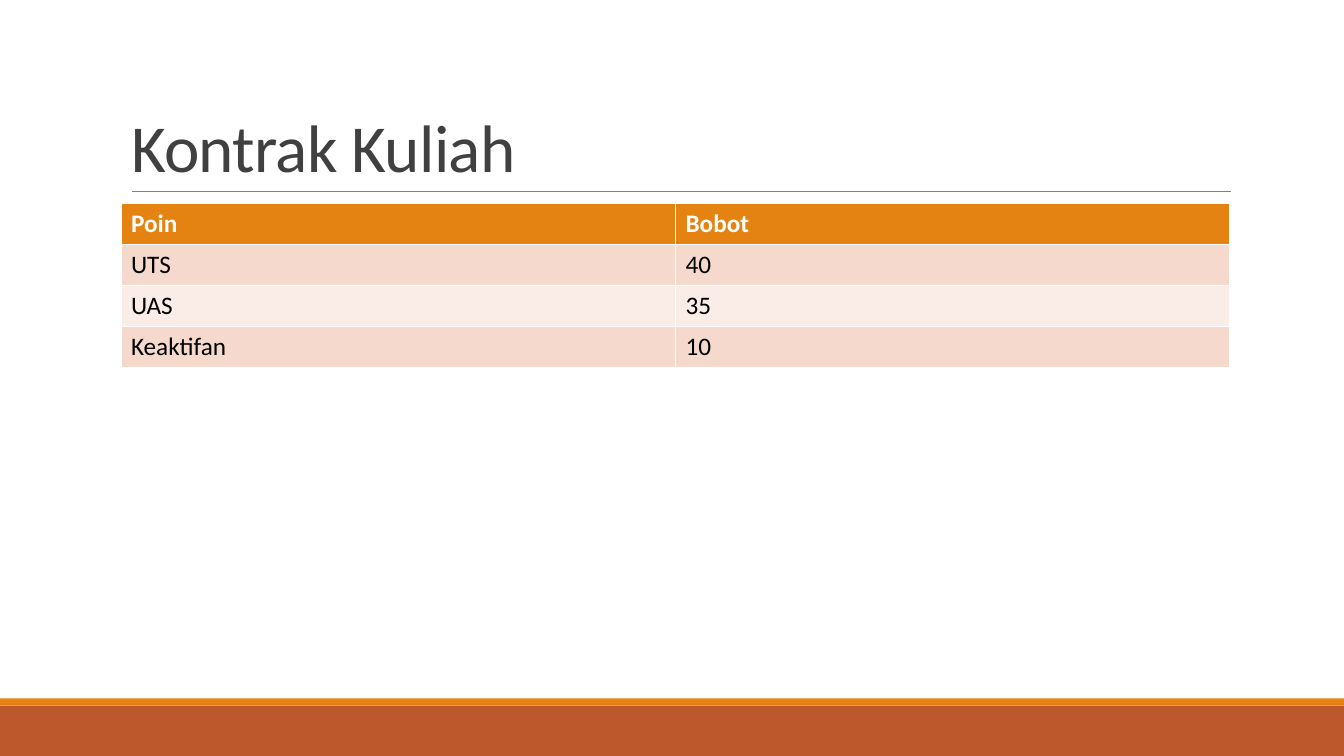
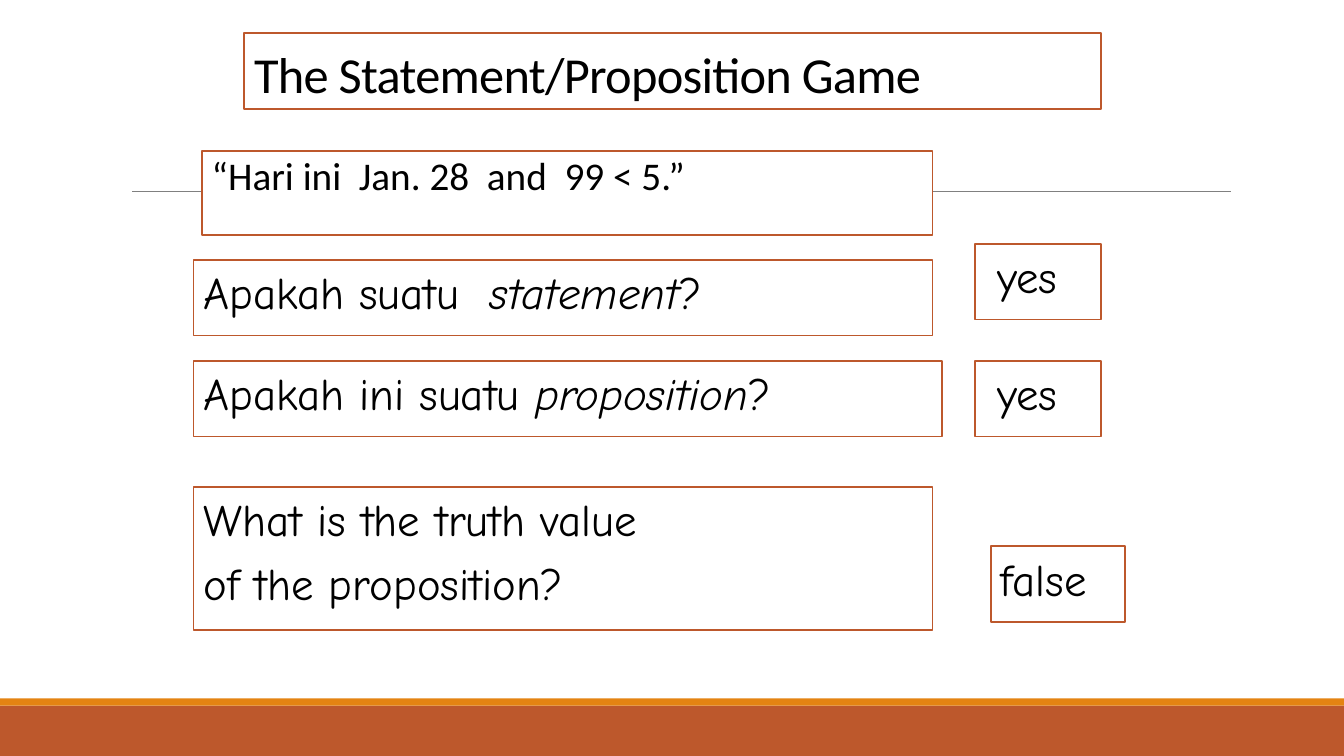
from dataclasses import dataclass

from lxml import etree
from pptx import Presentation
from pptx.dml.color import RGBColor
from pptx.enum.shapes import MSO_CONNECTOR, MSO_SHAPE
from pptx.enum.text import MSO_ANCHOR, MSO_AUTO_SIZE, PP_ALIGN
from pptx.oxml.ns import qn
from pptx.presentation import Presentation as Deck
from pptx.shapes.autoshape import Shape
from pptx.slide import Slide
from pptx.util import Inches, Pt

RECTANGLE = MSO_SHAPE.RECTANGLE
STRAIGHT = MSO_CONNECTOR.STRAIGHT
BOTTOM = MSO_ANCHOR.BOTTOM
TOP = MSO_ANCHOR.TOP
NO_AUTOFIT = MSO_AUTO_SIZE.NONE
LEFT = PP_ALIGN.LEFT

WHITE = RGBColor(0xFF, 0xFF, 0xFF)
BLACK = RGBColor(0x00, 0x00, 0x00)
CHARCOAL = RGBColor(0x40, 0x40, 0x40)
GRAY = RGBColor(0x80, 0x80, 0x80)
RUST = RGBColor(0xBD, 0x58, 0x2C)
ORANGE = RGBColor(0xE4, 0x83, 0x12)
ROW_DARK = RGBColor(0xF5, 0xD9, 0xCC)
ROW_LIGHT = RGBColor(0xFA, 0xED, 0xE7)

SANS = "Calibri"
COMIC = "Comic Neue"
WIDTH = 13.33
HEIGHT = 7.5
TITLE_ONLY = 5
TITLE_AND_CONTENT = 1
FIRST_MASTER_ID = 100


@dataclass(frozen=True)
class Area:
    left: float
    top: float
    width: float
    height: float


@dataclass(frozen=True)
class Words:
    text: str
    italic: bool = False


@dataclass(frozen=True)
class GameBox:
    area: Area
    lines: tuple[tuple[Words, ...], ...]
    indent: float = 0


BANDS = (
    (Area(0, 7, WIDTH, 0.5), RUST),
    (Area(0, 6.93, WIDTH, 0.07), ORANGE),
)

GRADING = (
    ("Poin", "Bobot"),
    ("UTS", "40"),
    ("UAS", "35"),
    ("Keaktifan", "10"),
)

YES = ((Words("yes"),),)
GAME_BOXES = (
    GameBox(
        Area(1.92, 2.58, 7.33, 0.75),
        ((Words("Apakah suatu  "), Words("statement", True), Words("?")),),
    ),
    GameBox(Area(9.67, 2.42, 1.25, 0.75), YES, 0.12),
    GameBox(
        Area(1.92, 3.58, 7.42, 0.75),
        ((Words("Apakah ini suatu "), Words("proposition", True), Words("?")),),
    ),
    GameBox(Area(9.67, 3.58, 1.25, 0.75), YES, 0.12),
    GameBox(
        Area(1.92, 4.83, 7.33, 1.42),
        ((Words("What is the truth value"),), (Words("of the proposition?"),)),
    ),
    GameBox(Area(9.83, 5.42, 1.33, 0.75), ((Words("false"),),)),
)


def place(shape: Shape, area: Area) -> None:
    shape.left, shape.top = Inches(area.left), Inches(area.top)
    shape.width, shape.height = Inches(area.width), Inches(area.height)


def frame(shape: Shape) -> None:
    shape.fill.solid()
    shape.fill.fore_color.rgb = WHITE
    shape.line.color.rgb = RUST
    shape.line.width = Pt(1.25)


def furnish_master(deck: Deck, slide: Slide) -> None:
    parts = []
    for area, color in BANDS:
        band = slide.shapes.add_shape(
            RECTANGLE, Inches(area.left), Inches(area.top),
            Inches(area.width), Inches(area.height),
        )
        band.shadow.inherit = False
        band.fill.solid()
        band.fill.fore_color.rgb = color
        band.line.fill.background()
        parts.append(band)

    rule = slide.shapes.add_connector(
        STRAIGHT, Inches(1.31), Inches(1.9), Inches(12.21), Inches(1.9)
    )
    rule.line.color.rgb = GRAY
    rule.line.width = Pt(0.5)
    etree.SubElement(rule.element.spPr, qn("a:effectLst"))
    parts.append(rule)

    for shape_id, part in enumerate(parts, FIRST_MASTER_ID):
        part.element.xpath("./*/p:cNvPr")[0].set("id", str(shape_id))
        deck.slide_master.shapes.element.append(part.element)


def set_title(slide: Slide, text: str, area: Area, size: int, color: RGBColor) -> None:
    title = slide.shapes.title
    place(title, area)
    title.text_frame.text = text
    title.text_frame.auto_size = NO_AUTOFIT
    title.text_frame.vertical_anchor = BOTTOM
    paragraph = title.text_frame.paragraphs[0]
    paragraph.alignment = LEFT
    paragraph.line_spacing = 0.85
    paragraph.font.name = SANS
    paragraph.font.size = Pt(size)
    paragraph.font.color.rgb = color
    paragraph.runs[0].font._element.set("spc", "-50")


def add_grading_table(slide: Slide) -> None:
    table = slide.shapes.add_table(
        len(GRADING), len(GRADING[0]),
        Inches(1.2), Inches(2.02), Inches(11), Inches(1.62),
    ).table
    for row, values in enumerate(GRADING):
        header = row == 0
        fill = ORANGE if header else ROW_DARK if row % 2 else ROW_LIGHT
        for column, value in enumerate(values):
            cell = table.cell(row, column)
            cell.text = value
            cell.fill.solid()
            cell.fill.fore_color.rgb = fill
            font = cell.text_frame.paragraphs[0].font
            font.name = SANS
            font.size = Pt(18)
            font.bold = header
            font.color.rgb = WHITE if header else BLACK


def set_statement(slide: Slide) -> None:
    statement = slide.placeholders[1]
    place(statement, Area(2, 1.5, 7.25, 0.83))
    frame(statement)
    text = statement.text_frame
    text.text = "“Hari ini  Jan. 28  and  99 < 5.”"
    text.auto_size = NO_AUTOFIT
    text.vertical_anchor = TOP
    text.margin_left = text.margin_right = 0
    paragraph = text.paragraphs[0]
    properties = paragraph._p.get_or_add_pPr()
    properties.set("marL", str(Inches(0.1)))
    properties.set("indent", "0")
    etree.SubElement(properties, qn("a:buNone"))
    paragraph.line_spacing = 0.9
    paragraph.space_before = Pt(0)
    paragraph.font.name = SANS
    paragraph.font.size = Pt(28)
    paragraph.font.color.rgb = BLACK


def add_game_box(slide: Slide, box: GameBox) -> None:
    area = box.area
    shape = slide.shapes.add_textbox(
        Inches(area.left), Inches(area.top), Inches(area.width), Inches(area.height)
    )
    frame(shape)
    text = shape.text_frame
    text.word_wrap = True
    for index, line in enumerate(box.lines):
        paragraph = text.add_paragraph() if index else text.paragraphs[0]
        if index:
            paragraph.space_before = Pt(7.4)
        if box.indent:
            paragraph._p.get_or_add_pPr().set("marL", str(Inches(box.indent)))
        paragraph.font.name = COMIC
        paragraph.font.size = Pt(32)
        paragraph.font.color.rgb = BLACK
        for words in line:
            run = paragraph.add_run()
            run.text = words.text
            if words.italic:
                run.font.italic = True


def build_contract(deck: Deck) -> Slide:
    slide = deck.slides.add_slide(deck.slide_layouts[TITLE_ONLY])
    set_title(slide, "Kontrak Kuliah", Area(1.2, 0.31, 11, 1.59), 48, CHARCOAL)
    add_grading_table(slide)
    return slide


def build_game(deck: Deck) -> None:
    slide = deck.slides.add_slide(deck.slide_layouts[TITLE_AND_CONTENT])
    set_title(
        slide, "The Statement/Proposition Game", Area(2.42, 0.33, 8.5, 0.75), 36, BLACK
    )
    frame(slide.shapes.title)
    set_statement(slide)
    for box in GAME_BOXES:
        add_game_box(slide, box)


def main() -> None:
    deck = Presentation()
    deck.slide_width, deck.slide_height = Inches(WIDTH), Inches(HEIGHT)
    contract = build_contract(deck)
    furnish_master(deck, contract)
    build_game(deck)
    deck.save("out.pptx")


if __name__ == "__main__":
    main()
